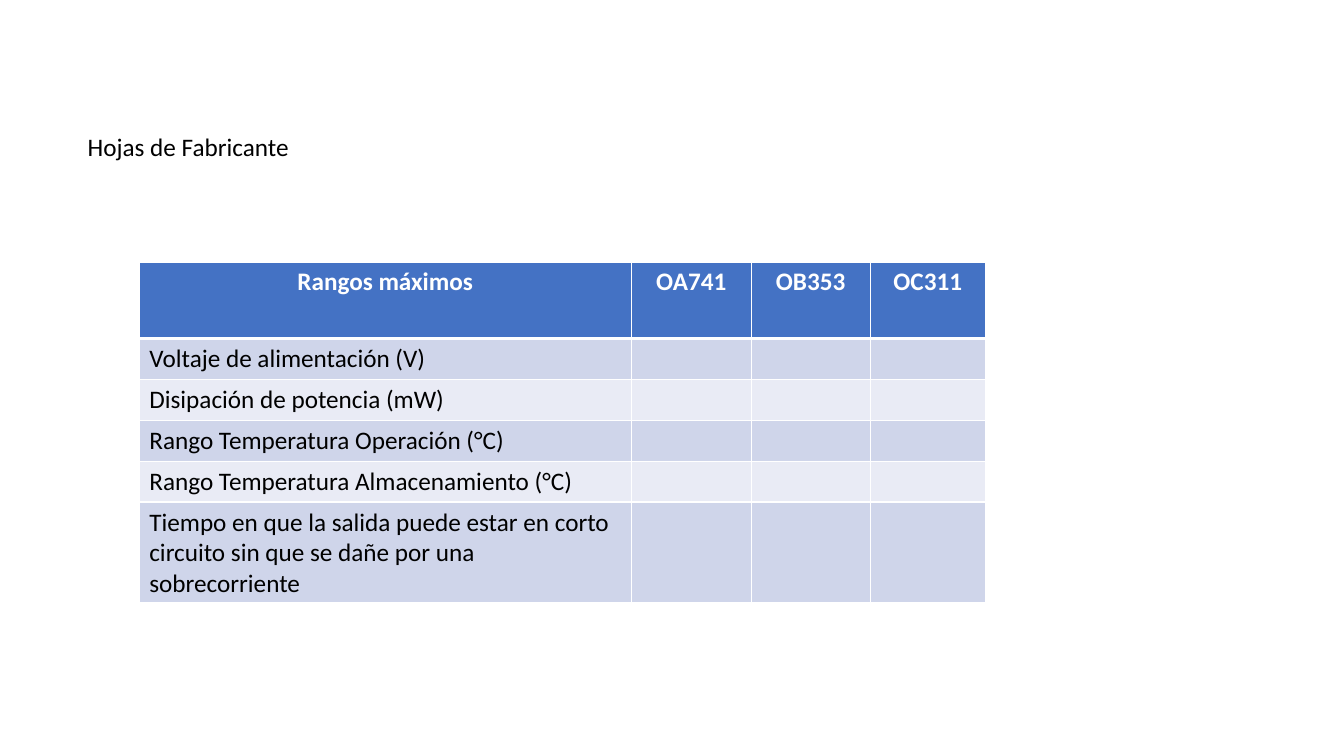
import dataclasses

import lxml.etree
import pptx
import pptx.dml.color
import pptx.enum.text
import pptx.oxml.ns
import pptx.util

Cm = pptx.util.Cm
Pt = pptx.util.Pt


@dataclasses.dataclass(frozen=True)
class Theme:
    font: str = "Calibri"
    size: int = 18
    ink: str = "000000"
    white: str = "FFFFFF"
    head: str = "4472C4"
    bands: tuple[str, str] = ("CFD5EA", "E9EBF5")
    thin: int = 1
    thick: int = 3


@dataclasses.dataclass(frozen=True)
class Row:
    texts: tuple[str, ...]
    height: float = 1.03


THEME = Theme()
WIDTHS = (12.4, 3.02, 3.0, 2.9)
ROWS = (
    Row(("Rangos máximos", "OA741", "OB353", "OC311"), 1.93),
    Row(("Voltaje de alimentación (V)",)),
    Row(("Disipación de potencia (mW)",)),
    Row(("Rango Temperatura Operación (°C)",)),
    Row(("Rango Temperatura Almacenamiento (°C)",)),
    Row(
        (
            "Tiempo en que la salida puede estar en corto circuito "
            "sin que se dañe por una sobrecorriente",
        ),
        2.5,
    ),
)


def paint(text: str) -> pptx.dml.color.RGBColor:
    return pptx.dml.color.RGBColor.from_string(text)


def style(frame, color: str, bold: bool = False) -> None:
    for para in frame.paragraphs:
        for run in para.runs:
            run.font.name = THEME.font
            run.font.size = Pt(THEME.size)
            run.font.bold = bold
            run.font.color.rgb = paint(color)


def edge(cell, side: str, width: int) -> None:
    qn = pptx.oxml.ns.qn
    props = cell._tc.get_or_add_tcPr()
    line = lxml.etree.SubElement(props, qn(f"a:ln{side}"), w=str(Pt(width)))
    fill = lxml.etree.SubElement(line, qn("a:solidFill"))
    lxml.etree.SubElement(fill, qn("a:srgbClr"), val=THEME.white)


def draw_cell(cell, text: str, index: int) -> None:
    head = index == 0
    for side in "LRTB":
        thick = (head and side == "B") or (index == 1 and side == "T")
        edge(cell, side, THEME.thick if thick else THEME.thin)
    cell.fill.solid()
    cell.fill.fore_color.rgb = paint(
        THEME.head if head else THEME.bands[(index - 1) % 2]
    )
    if text:
        cell.text_frame.text = text
        style(cell.text_frame, THEME.white if head else THEME.ink, head)
    if head:
        cell.text_frame.paragraphs[0].alignment = pptx.enum.text.PP_ALIGN.CENTER


def draw_table(slide) -> None:
    height = sum(row.height for row in ROWS)
    table = slide.shapes.add_table(
        len(ROWS), len(WIDTHS), Cm(3.51), Cm(6.6), Cm(sum(WIDTHS)), Cm(height)
    ).table
    for column, width in zip(table.columns, WIDTHS):
        column.width = Cm(width)
    for index, row in enumerate(ROWS):
        table.rows[index].height = Cm(row.height)
        for place in range(len(WIDTHS)):
            text = row.texts[place] if place < len(row.texts) else ""
            draw_cell(table.cell(index, place), text, index)


def draw_title(slide) -> None:
    box = slide.shapes.add_textbox(Cm(1.96), Cm(3.18), Cm(5.64), Cm(1.02))
    frame = box.text_frame
    frame.word_wrap = False
    frame.auto_size = pptx.enum.text.MSO_AUTO_SIZE.SHAPE_TO_FIT_TEXT
    frame.text = "Hojas de Fabricante"
    style(frame, THEME.ink)


def main() -> None:
    deck = pptx.Presentation()
    deck.slide_width = Cm(33.87)
    deck.slide_height = Cm(19.05)
    slide = deck.slides.add_slide(deck.slide_layouts[6])
    draw_title(slide)
    draw_table(slide)
    deck.save("out.pptx")


if __name__ == "__main__":
    main()
